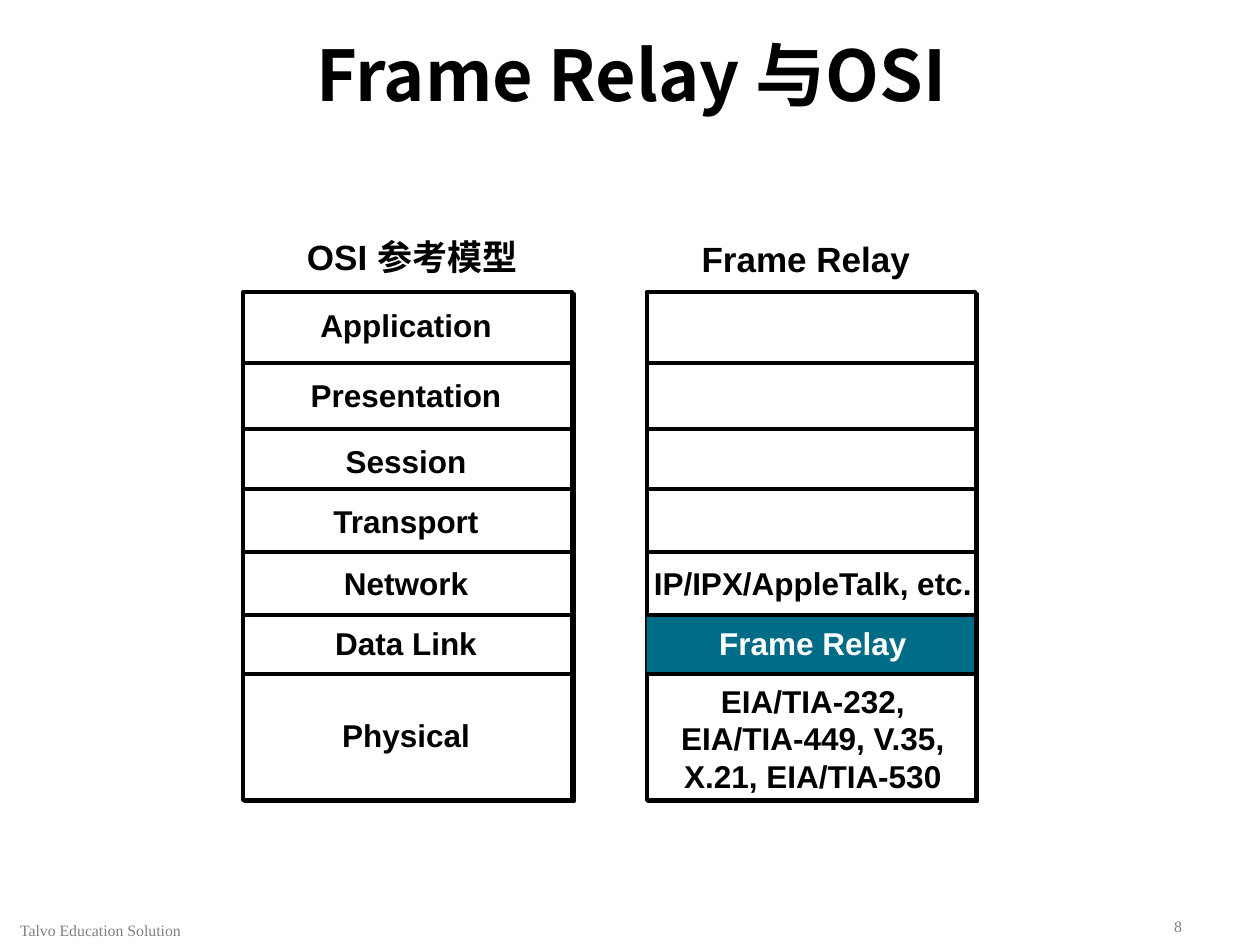
from lxml.etree import SubElement
from pptx import Presentation
from pptx.dml.color import RGBColor
from pptx.enum.shapes import MSO_CONNECTOR as Line, MSO_SHAPE as Shape
from pptx.enum.text import MSO_ANCHOR as Anchor, PP_ALIGN as Align
from pptx.oxml import parse_xml
from pptx.oxml.ns import nsdecls, qn
from pptx.util import Pt

INK = {name: RGBColor.from_string(code) for name, code in {
    "black": "000000", "white": "FFFFFF", "teal": "006C88", "grey": "808080"}.items()}
SHADOW = (f'<a:effectLst {nsdecls("a")}><a:outerShdw dist="17780" dir="2700000">'
          '<a:srgbClr val="000000"/></a:outerShdw></a:effectLst>')


def style(par, size, color="black", face="Arial", bold=True, align=Align.CENTER):
    par.alignment = align
    font = par.font
    font.name, font.size, font.bold = face, Pt(size), bold
    font.color.rgb = INK[color]
    east = SubElement(par._p.pPr.find(qn("a:defRPr")), qn("a:ea"))
    east.set("typeface", "Noto Sans CJK SC")


def label(text, x, y, w, h, size=18, color="black", **look):
    box = slide.shapes.add_textbox(Pt(x), Pt(y), Pt(w), Pt(h))
    frame = box.text_frame
    frame.word_wrap = True
    frame.text = text
    style(frame.paragraphs[0], size, color, **look)
    return frame


deck = Presentation()
deck.slide_width, deck.slide_height = Pt(720), Pt(540)
slide = deck.slides.add_slide(deck.slide_layouts[5])

# Title
title = slide.shapes.title
title.left, title.top, title.width, title.height = Pt(60.5), Pt(0), Pt(600.5), Pt(90)
title.text_frame.text = "Frame Relay 与OSI"
title.text_frame.vertical_anchor = Anchor.MIDDLE
head = title.text_frame.paragraphs[0]
head.line_spacing = 0.9
style(head, 40, face="Noto Sans CJK SC")

# Two stacks, each with its heading and layer dividers
TOP, WIDE, TALL = 167, 188, 290
LEFT, RIGHT = 139, 369.5
RULES = [207.5, 245, 279.5, 315.5, 351.5, 385]
for x, name, at, y in [(LEFT, "OSI 参考模型", 126.5, 131),
                       (RIGHT, "Frame Relay", 351.5, 132)]:
    stack = slide.shapes.add_shape(Shape.RECTANGLE, Pt(x), Pt(TOP), Pt(WIDE), Pt(TALL))
    stack.fill.solid()
    stack.fill.fore_color.rgb = INK["white"]
    stack.line.color.rgb = INK["black"]
    stack.line.width = Pt(2.25)
    stack._element.spPr.append(parse_xml(SHADOW))
    if x == RIGHT:
        band = slide.shapes.add_shape(Shape.RECTANGLE, Pt(x), Pt(352), Pt(187), Pt(32))
        band.shadow.inherit = False
        band.fill.solid()
        band.fill.fore_color.rgb = INK["teal"]
        band.line.fill.background()
    for rule in RULES:
        line = slide.shapes.add_connector(
            Line.STRAIGHT, Pt(x), Pt(rule), Pt(x + WIDE), Pt(rule))
        line.line.color.rgb = INK["black"]
        line.line.width = Pt(2.25)
        SubElement(line._element.spPr, qn("a:effectLst"))
    label(name, at, y, 218, 32, 20)

# OSI layers
for name, y in [("Application", 171.5), ("Presentation", 211.5), ("Session", 249),
                ("Transport", 283.5), ("Network", 319), ("Data Link", 353),
                ("Physical", 405.5)]:
    label(name, 164, y, 136, 29)

# Frame Relay layers
label("IP/IPX/AppleTalk, etc.", 348.5, 319, 232, 29)
label("Frame Relay", 396.5, 353, 136, 29, color="white")
label("EIA/TIA-232, EIA/TIA-449, V.35, X.21, EIA/TIA-530", 371.5, 386, 186, 72)

# Footer
for text, x, y, w in [("Talvo Education Solution", 5, 522.5, 105), ("8", 664.5, 520, 50)]:
    foot = label(text, x, y, w, 17.5, 9, "grey", face="Times New Roman",
                 bold=False, align=Align.LEFT)
    foot.word_wrap = False
    foot.vertical_anchor = Anchor.BOTTOM
    foot.margin_left = foot.margin_right = Pt(6.5)
    foot.margin_top = foot.margin_bottom = Pt(3)

deck.save("out.pptx")
